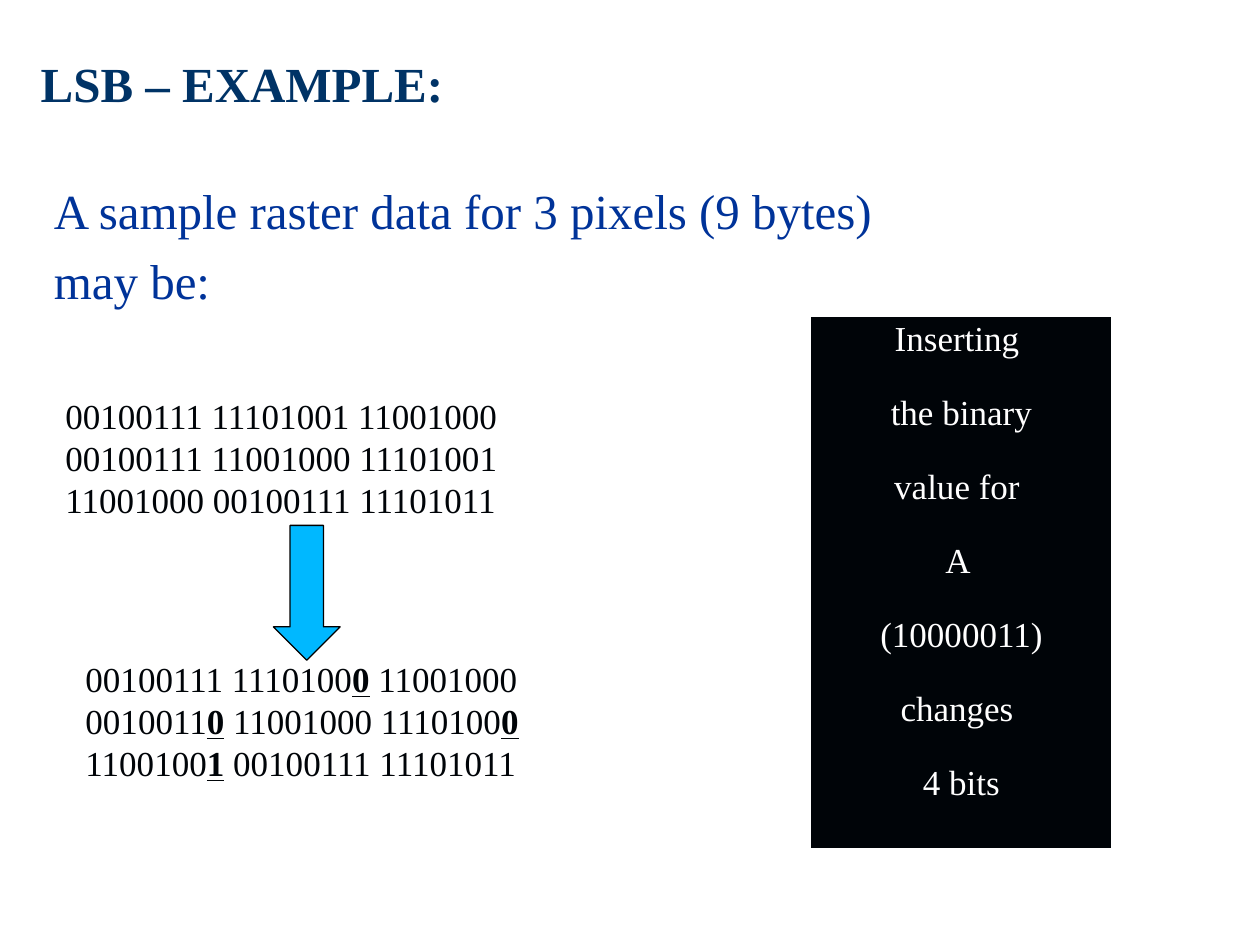
from pptx import Presentation, util as u
from pptx.dml.color import RGBColor
from pptx.enum import shapes, text

FONT = "Times New Roman"
INK = "000408"
BEFORE = ["00100111 11101001 11001000",
          "00100111 11001000 11101001",
          "11001000 00100111 11101011"]
AFTER = ["00100111 1110100*0* 11001000",
         "0010011*0* 11001000 1110100*0*",
         "1100100*1* 00100111 11101011"]
NOTE = ["Inserting ", "the binary", "value for ", "A ", "(10000011)",
        "changes ", "4 bits"]


def rgb(value):
    """Turn a hex string into a colour."""
    return RGBColor.from_string(value)


def place(sp, box):
    """Move a shape to a box of left, top, width and height in inches."""
    sp.left, sp.top, sp.width, sp.height = map(u.Inches, box)


def style(r, size, color, bold=False, underline=False):
    """Format one run."""
    f = r.font
    f.name, f.size, f.bold, f.underline = FONT, u.Pt(size), bold, underline
    f.color.rgb = rgb(color)


def write(tf, lines, size, color, align=text.PP_ALIGN.LEFT,
          before=0, after=0, spacing=1.0):
    """Fill a frame with paragraphs, marking the parts between asterisks."""
    tf.word_wrap = True
    tf.auto_size = text.MSO_AUTO_SIZE.NONE
    for i, line in enumerate(lines):
        p = tf.add_paragraph() if i else tf.paragraphs[0]
        p.alignment, p.line_spacing = align, spacing
        p.space_before = u.Pt(before if i else 0)
        p.space_after = u.Pt(after)
        for j, part in enumerate(line.split("*")):
            if part:
                r = p.add_run()
                r.text = part
                marked = j % 2 == 1
                style(r, size, color, marked, marked)


def add_title(s, box):
    """Place and format the title placeholder."""
    sp = s.shapes.title
    place(sp, box)
    tf = sp.text_frame
    tf.text = "LSB – EXAMPLE:"
    tf.word_wrap = True
    tf.auto_size = text.MSO_AUTO_SIZE.NONE
    tf.vertical_anchor = text.MSO_ANCHOR.MIDDLE
    p = tf.paragraphs[0]
    p.alignment = text.PP_ALIGN.CENTER
    style(p.runs[0], 28, "003366", bold=True)


def add_text(s, box, lines, size, color, before=0):
    """Add a left-aligned text box."""
    sp = s.shapes.add_textbox(*map(u.Inches, box))
    write(sp.text_frame, lines, size, color, before=before)


def add_block(s, kind, box, fill, line, width):
    """Add a filled and outlined preset shape."""
    sp = s.shapes.add_shape(kind, *map(u.Inches, box))
    sp.shadow.inherit = False
    sp.fill.solid()
    sp.fill.fore_color.rgb = rgb(fill)
    sp.line.color.rgb = rgb(line)
    sp.line.width = u.Pt(width)
    return sp


def add_note(s, box):
    """Add the dark panel that explains the change."""
    sp = add_block(s, shapes.MSO_SHAPE.RECTANGLE, box, INK, "FFFFFF", 2.75)
    sp.text_frame.vertical_anchor = text.MSO_ANCHOR.TOP
    write(sp.text_frame, NOTE, 20, "FFFFFF", text.PP_ALIGN.CENTER,
          before=6.4, after=14.3, spacing=0.9)


def add_bits(s, box):
    """Stack the bytes before, an arrow and the bytes after."""
    x, y, w, h = box
    add_text(s, (x + 0.16, y + 2.09, w, h), AFTER, 20, INK)
    add_text(s, (x, y, w, h), BEFORE, 20, INK)
    add_block(s, shapes.MSO_SHAPE.DOWN_ARROW,
              (x + 1.75, y + 1.09, 0.53, 1.07), "00B8FF", "000000", 0.75)


def main():
    """Build the slide and save it."""
    prs = Presentation()
    prs.slide_width, prs.slide_height = u.Inches(10), u.Inches(7.5)
    s = prs.slides.add_slide(prs.slide_layouts[5])
    add_title(s, (0.17, 0.17, 3.5, 0.97))
    add_text(s, (0.33, 1.38, 9.67, 1.28),
             ["A sample raster data for 3 pixels (9 bytes)", "may be:"],
             28, "003399", before=6.4)
    add_note(s, (6.42, 2.5, 2.42, 4.25))
    add_bits(s, (0.42, 3.08, 3.92, 1.1))
    prs.save("out.pptx")


if __name__ == "__main__":
    main()
